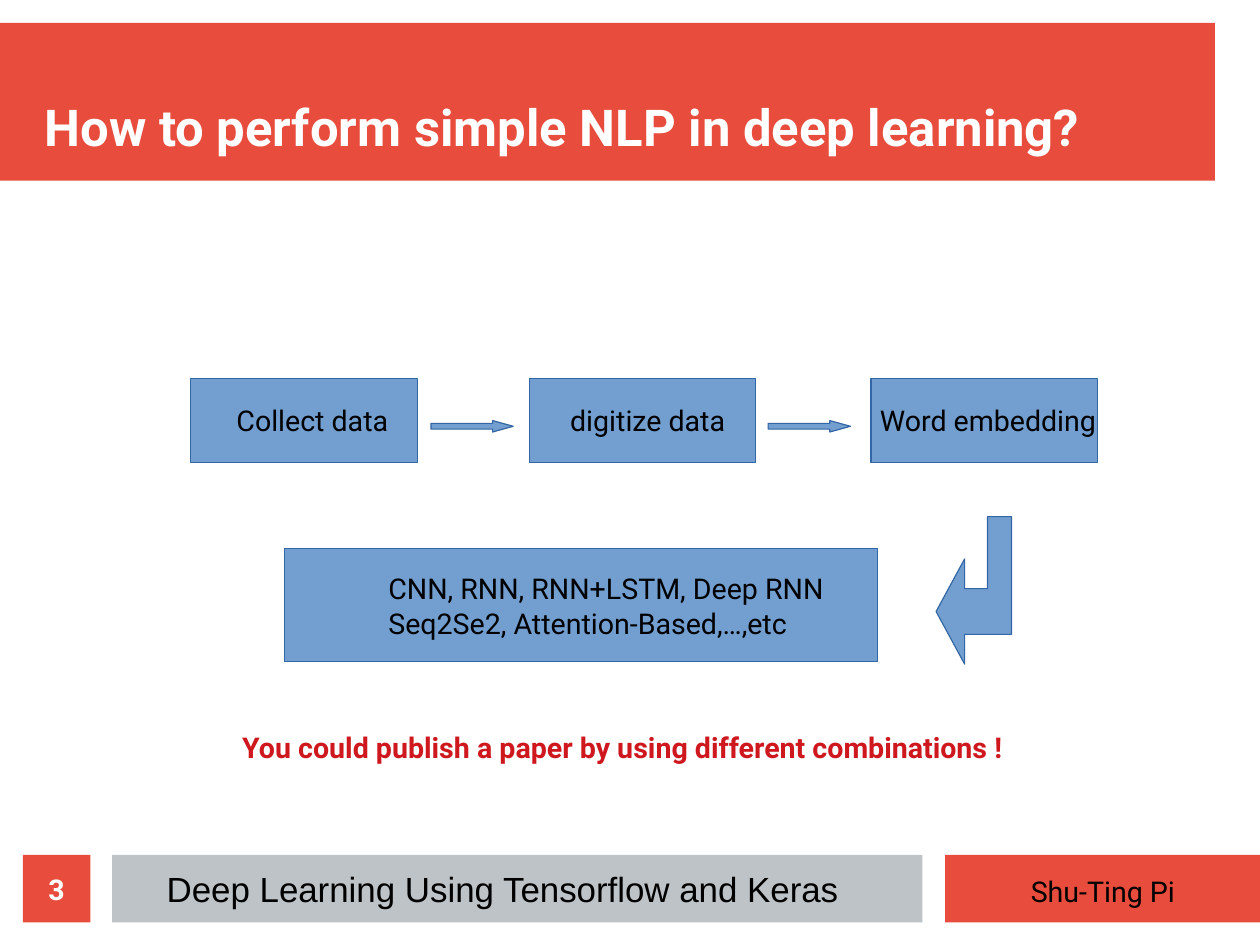
"""Build the slide on performing simple NLP in deep learning."""
import pptx
import pptx.dml.color
import pptx.enum.shapes
import pptx.enum.text
import pptx.util
from dataclasses import dataclass
from pptx.util import Inches


@dataclass(frozen=True)
class Theme:
    red: str = "E74C3C"
    grey: str = "BDC3C7"
    blue: str = "729FCF"
    outline: str = "3465A4"
    alert: str = "CE181E"
    black: str = "000000"
    white: str = "FFFFFF"
    font: str = "Roboto"
    footer_font: str = "Arial"
    title_size: int = 32
    footer_size: int = 22
    body_size: int = 18


theme = Theme()
kinds = pptx.enum.shapes.MSO_SHAPE
anchors = pptx.enum.text.MSO_ANCHOR
aligns = pptx.enum.text.PP_ALIGN
rgb = pptx.dml.color.RGBColor.from_string

deck = pptx.Presentation()
deck.slide_width = Inches(28 / 2.54)
deck.slide_height = Inches(21 / 2.54)
slide = deck.slides.add_slide(deck.slide_layouts[6])


def paint(shape, fill, outline=None):
    shape.shadow.inherit = False
    shape.fill.solid()
    shape.fill.fore_color.rgb = rgb(fill)
    if outline:
        shape.line.color.rgb = rgb(outline)
        shape.line.width = pptx.util.Pt(0)
    else:
        shape.line.fill.background()
    return shape


def write(text, *, box=None, holder=None, size=theme.body_size, font=theme.font,
          color=theme.black, bold=False, anchor=anchors.TOP, align=aligns.LEFT,
          inset=(0.1, 0.05)):
    holder = holder or slide.shapes.add_textbox(*map(Inches, box))
    frame = holder.text_frame
    frame.word_wrap = True
    frame.vertical_anchor = anchor
    frame.margin_left = frame.margin_right = Inches(inset[0])
    frame.margin_top = frame.margin_bottom = Inches(inset[1])
    frame.text = text
    for paragraph in frame.paragraphs:
        paragraph.alignment = align
        for run in paragraph.runs:
            run.font.name = font
            run.font.size = pptx.util.Pt(size)
            run.font.bold = bold
            run.font.color.rgb = rgb(color)


bands = [
    ((0, 0.2, 10.63, 1.38), theme.red),
    ((8.27, 7.48, 2.76, 0.59), theme.red),
    ((0.98, 7.48, 7.09, 0.59), theme.grey),
]
for area, fill in bands:
    paint(slide.shapes.add_shape(kinds.RECTANGLE, *map(Inches, area)), fill)

write("How to perform simple NLP in deep learning?", box=(0.39, 0.39, 10.24, 0.98),
      size=theme.title_size, color=theme.white, bold=True,
      anchor=anchors.BOTTOM, inset=(0, 0))

steps = [
    ("Collect data", 1.67, 1.97, 1.58),
    ("digitize data", 4.63, 4.89, 1.64),
    ("Word embedding", 7.62, 7.6, 2.24),
]
for label, step_left, label_left, label_width in steps:
    step = slide.shapes.add_shape(kinds.RECTANGLE, Inches(step_left), Inches(3.31),
                                  Inches(1.98), Inches(0.74))
    paint(step, theme.blue, theme.outline)
    write(label, box=(label_left, 3.48, label_width, 0.44))

for arrow_left in (3.77, 6.72):
    arrow = slide.shapes.add_shape(kinds.RIGHT_ARROW, Inches(arrow_left), Inches(3.68),
                                   Inches(0.72), Inches(0.1))
    arrow.adjustments[1] = 1.8
    paint(arrow, theme.blue, theme.outline)

turn = [(8.44, 4.89), (8.44, 5.15), (8.64, 5.15), (8.64, 4.52), (8.85, 4.52),
        (8.85, 5.55), (8.44, 5.55), (8.44, 5.81), (8.19, 5.35)]
corners = [(Inches(x), Inches(y)) for x, y in turn]
turn_outline = slide.shapes.build_freeform(*corners[0])
turn_outline.add_line_segments(corners[1:], close=True)
paint(turn_outline.convert_to_shape(), theme.blue, theme.outline)

models = slide.shapes.add_shape(kinds.RECTANGLE, Inches(2.49), Inches(4.8),
                                Inches(5.19), Inches(0.99))
paint(models, theme.blue, theme.outline)
write("CNN, RNN, RNN+LSTM, Deep RNN\nSeq2Se2, Attention-Based,…,etc",
      box=(3.3, 4.95, 4.2, 0.78))

write("You could publish a paper by using different combinations !",
      box=(2.02, 6.34, 7.59, 0.44), color=theme.alert, bold=True)

write("Deep Learning Using Tensorflow and Keras", box=(1.36, 7.54, 6.72, 0.57),
      size=theme.footer_size, font=theme.footer_font)
write("Shu-Ting Pi", box=(8.92, 7.6, 1.56, 0.44))

page_number = slide.shapes.add_shape(kinds.RECTANGLE, Inches(0.2), Inches(7.48),
                                     Inches(0.59), Inches(0.59))
paint(page_number, theme.red)
write("3", holder=page_number, color=theme.white, bold=True,
      anchor=anchors.MIDDLE, align=aligns.CENTER, inset=(0, 0))

deck.save("out.pptx")
